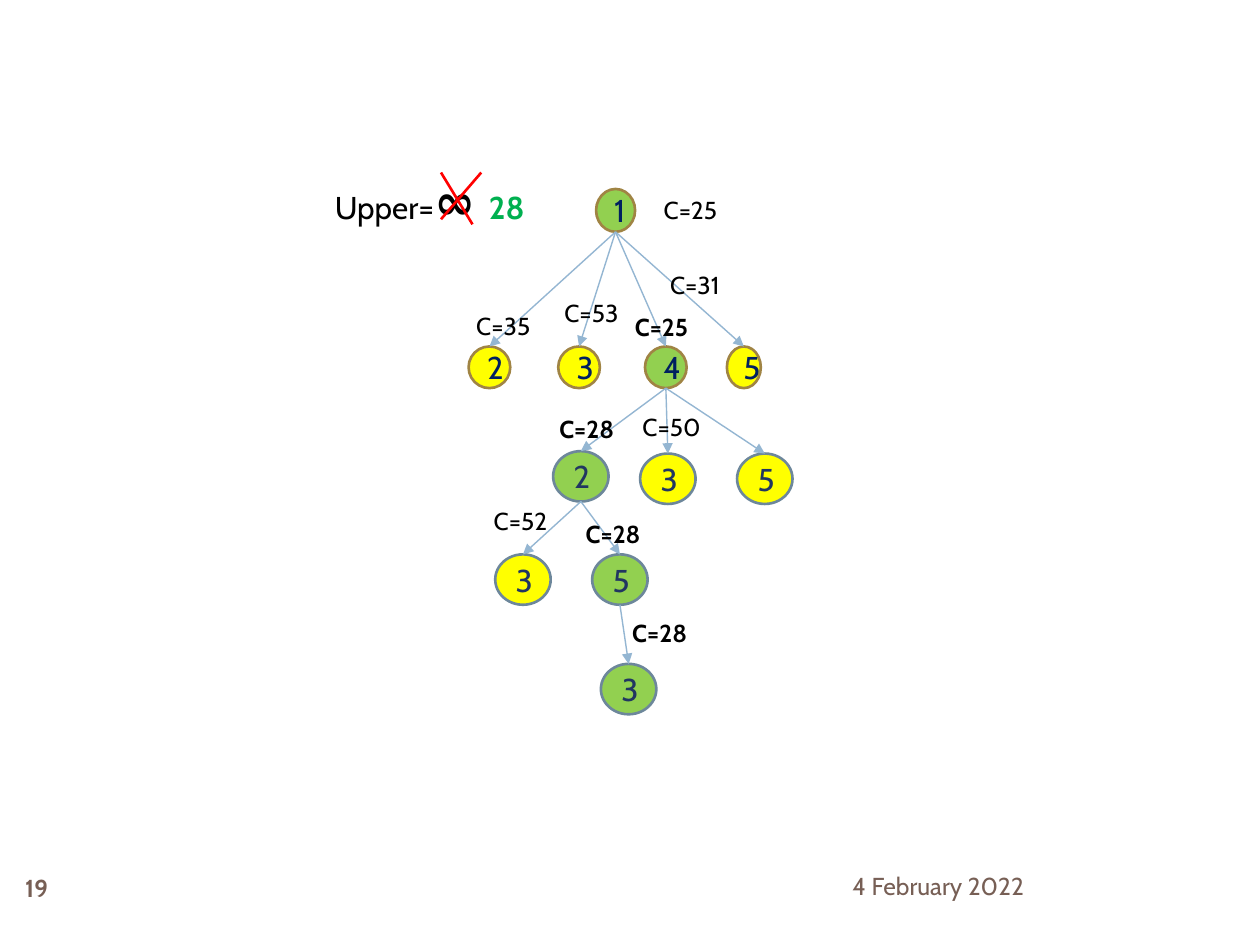
"""Build a slide with a branch-and-bound search tree and its node costs."""
from dataclasses import dataclass
from typing import Optional

from lxml.etree import SubElement
from pptx import Presentation
from pptx.dml.color import RGBColor
from pptx.enum.shapes import MSO_CONNECTOR, MSO_SHAPE
from pptx.enum.text import MSO_ANCHOR, PP_ALIGN
from pptx.oxml.ns import qn
from pptx.util import Pt


@dataclass(frozen=True)
class Theme:
    font: str = "Cabin"
    small: float = 14
    body: float = 18
    symbol: float = 28
    edge_width: float = 0.79
    outline_width: float = 1.5
    ink: str = "000000"
    footer: str = "775F55"
    edge: str = "94B6D2"
    best: str = "92D050"
    pruned: str = "FFFF00"
    bound: str = "00B050"
    strike: str = "FF0000"


@dataclass(frozen=True)
class NodeStyle:
    width: float
    height: float
    outline: str
    ink: str


@dataclass(frozen=True)
class Node:
    key: str
    parent: Optional[str]
    x: float
    y: float
    style: NodeStyle
    best: bool = False
    cost: str = ""
    cost_x: float = 0
    cost_y: float = 0


THEME = Theme()
ROOT = NodeStyle(22.3, 24.5, "A08444", "002060")
UPPER = NodeStyle(23.8, 23.8, "A08444", "002060")
NARROW = NodeStyle(19.4, 23.8, "A08444", "002060")
LOWER = NodeStyle(31.7, 28.8, "6D879B", "213661")

NODES = [
    Node("1", None, 340.6, 108, ROOT, True, "C=25", 372.2, 108),
    Node("12", "1", 267.8, 198, UPPER, False, "C=35", 265, 174.2),
    Node("13", "1", 319, 198, UPPER, False, "C=53", 315.4, 167),
    Node("14", "1", 368.6, 198, UPPER, True, "C=25", 355.7, 175),
    Node("15", "1", 415.4, 198, NARROW, False, "C=31", 375.8, 150.5),
    Node("142", "14", 316.1, 257.8, LOWER, True, "C=28", 312.5, 233.3),
    Node("143", "14", 365.8, 259.2, LOWER, False, "C=50", 360, 231.8),
    Node("145", "14", 421.2, 259.2, LOWER),
    Node("1423", "142", 283, 316.8, LOWER, False, "C=52", 275, 285.8),
    Node("1425", "142", 338.4, 316.8, LOWER, True, "C=28", 327.6, 293),
    Node("14253", "1425", 343.4, 379.4, LOWER, True, "C=28", 354.2, 349.9),
]
STRIKES = [(252, 98.6, 270, 128.2), (275, 98.6, 252, 125.3)]


def rgb(color: str) -> RGBColor:
    return RGBColor.from_string(color)


def style_font(font, size: float, color: str, bold: bool = False) -> None:
    font.name = THEME.font
    font.size = Pt(size)
    font.color.rgb = rgb(color)
    font.bold = bold


def add_text(slide, x: float, y: float, w: float, h: float, text: str,
             color: str = THEME.ink, bold: bool = False,
             anchor=MSO_ANCHOR.TOP, align=PP_ALIGN.LEFT):
    s = slide.shapes.add_textbox(Pt(x), Pt(y), Pt(w), Pt(h))
    tf = s.text_frame
    tf.word_wrap = True
    tf.vertical_anchor = anchor
    p = tf.paragraphs[0]
    p.text = text
    p.alignment = align
    style_font(p.font, THEME.small, color, bold)


def add_node(slide, node: Node):
    st = node.style
    s = slide.shapes.add_shape(MSO_SHAPE.OVAL, Pt(node.x), Pt(node.y),
                               Pt(st.width), Pt(st.height))
    s.shadow.inherit = False
    s.fill.solid()
    s.fill.fore_color.rgb = rgb(THEME.best if node.best else THEME.pruned)
    s.line.color.rgb = rgb(st.outline)
    s.line.width = Pt(THEME.outline_width)
    tf = s.text_frame
    tf.vertical_anchor = MSO_ANCHOR.MIDDLE
    p = tf.paragraphs[0]
    p.text = node.key[-1]
    p.alignment = PP_ALIGN.CENTER
    style_font(p.font, THEME.body, st.ink)
    return s


def add_line(slide, x1: int, y1: int, x2: int, y2: int, color: str, width: float):
    c = slide.shapes.add_connector(MSO_CONNECTOR.STRAIGHT, x1, y1, x2, y2)
    c.line.color.rgb = rgb(color)
    c.line.width = Pt(width)
    SubElement(c._element.spPr, qn("a:effectLst"))
    return c


def add_edge(slide, parent, child) -> None:
    c = add_line(slide, parent.left + parent.width // 2, parent.top + parent.height,
                 child.left + child.width // 2, child.top,
                 THEME.edge, THEME.edge_width)
    c.end_connect(child, 0)
    SubElement(c.line._get_or_add_ln(), qn("a:tailEnd"), type="triangle")


def add_bound(slide) -> None:
    s = slide.shapes.add_textbox(Pt(184.3), Pt(93.6), Pt(153.4), Pt(63.4))
    tf = s.text_frame
    tf.word_wrap = True
    p = tf.paragraphs[0]
    tabs = SubElement(p._p.get_or_add_pPr(), qn("a:tabLst"))
    SubElement(tabs, qn("a:tab"), pos=str(Pt(88)), algn="l")
    for text, size, color, bold in (
            ("Upper=", THEME.body, THEME.ink, False),
            ("∞", THEME.symbol, THEME.ink, True),
            ("\t28", THEME.body, THEME.bound, True)):
        r = p.add_run()
        r.text = text
        style_font(r.font, size, color, bold)
    for ends in STRIKES:
        add_line(slide, *map(Pt, ends), THEME.strike, THEME.outline_width)


def main() -> None:
    prs = Presentation()
    prs.slide_width, prs.slide_height = Pt(720), Pt(540)
    slide = prs.slides.add_slide(prs.slide_layouts[6])
    add_text(slide, 480, 492, 210, 28.8, "4 February 2022", THEME.footer,
             anchor=MSO_ANCHOR.MIDDLE)
    add_text(slide, 0, 492, 42, 30, "19", THEME.footer, True,
             MSO_ANCHOR.MIDDLE, PP_ALIGN.CENTER)
    ovals = {node.key: add_node(slide, node) for node in NODES}
    for node in NODES:
        if node.parent:
            add_edge(slide, ovals[node.parent], ovals[node.key])
    for node in NODES:
        if node.cost:
            add_text(slide, node.cost_x, node.cost_y, 65.5, 24.5, node.cost,
                     bold=node.best and node.parent is not None)
    add_bound(slide)
    prs.save("out.pptx")


if __name__ == "__main__":
    main()
